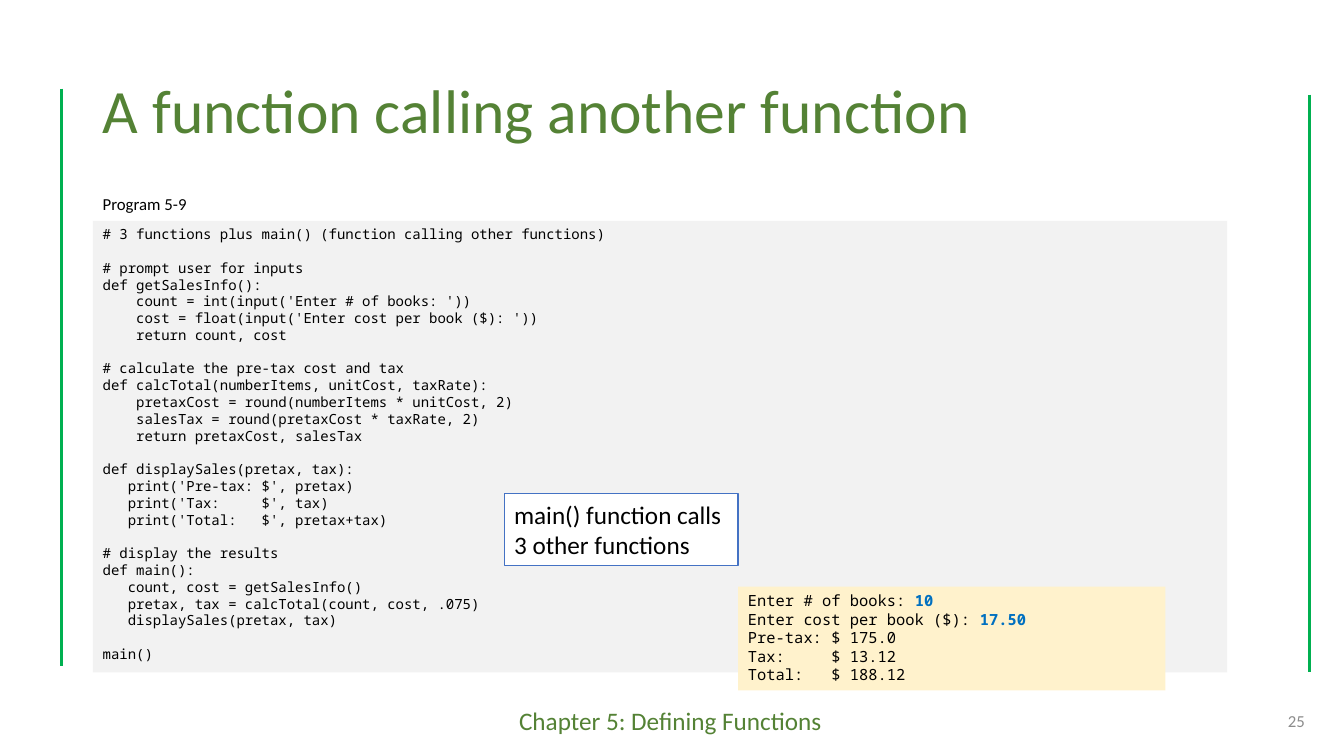
from dataclasses import dataclass

from lxml import etree
from pptx import Presentation
from pptx.dml.color import RGBColor
from pptx.enum.shapes import MSO_CONNECTOR, MSO_SHAPE
from pptx.enum.text import MSO_ANCHOR, MSO_AUTO_SIZE, PP_ALIGN
from pptx.oxml.ns import qn
from pptx.util import Emu, Pt

STRAIGHT = MSO_CONNECTOR.STRAIGHT
RECTANGLE = MSO_SHAPE.RECTANGLE
TOP, MIDDLE = MSO_ANCHOR.TOP, MSO_ANCHOR.MIDDLE
LEFT, RIGHT = PP_ALIGN.LEFT, PP_ALIGN.RIGHT
NO_AUTOFIT = MSO_AUTO_SIZE.NONE


@dataclass(frozen=True)
class Theme:
    sans: str = "Calibri"
    mono: str = "Noto Sans Mono"
    heading: str = "548235"
    rule: str = "00B050"
    ink: str = "000000"
    muted: str = "8C8C8C"
    code_fill: str = "F2F2F2"
    output_fill: str = "FFF2CC"
    typed: str = "0070C0"
    callout_fill: str = "FFFFFF"
    callout_line: str = "4472C4"
    title_size: int = 44
    body_size: int = 18
    small_size: int = 12
    output_size: int = 11
    code_size: int = 10
    rule_width: float = 2.25
    callout_width: float = 0.75


THEME = Theme()
EMU_PER_PX = 9144  # 100 px to the inch

# Each block is set off from the one before by one line of space
CODE_BLOCKS = [
    ["# 3 functions plus main() (function calling other functions)"],
    ["# prompt user for inputs",
     "def getSalesInfo():",
     "    count = int(input('Enter # of books: '))",
     "    cost = float(input('Enter cost per book ($): '))",
     "    return count, cost"],
    ["# calculate the pre-tax cost and tax",
     "def calcTotal(numberItems, unitCost, taxRate):",
     "    pretaxCost = round(numberItems * unitCost, 2)",
     "    salesTax = round(pretaxCost * taxRate, 2)",
     "    return pretaxCost, salesTax"],
    ["def displaySales(pretax, tax):",
     "   print('Pre-tax: $', pretax)",
     "   print('Tax:     $', tax)",
     "   print('Total:   $', pretax+tax)"],
    ["# display the results",
     "def main():",
     "   count, cost = getSalesInfo()",
     "   pretax, tax = calcTotal(count, cost, .075)",
     "   displaySales(pretax, tax)"],
    ["main()"],
]

# Prompt or result, followed by what the user typed
OUTPUT_LINES = [
    ("Enter # of books: ", "10"),
    ("Enter cost per book ($): ", "17.50"),
    ("Pre-tax: $ 175.0", ""),
    ("Tax:     $ 13.12", ""),
    ("Total:   $ 188.12", ""),
]


def px(length):
    return Emu(length * EMU_PER_PX)


def rgb(color):
    return RGBColor.from_string(color)


def write(paragraph, text, *, size, color=THEME.ink, font=THEME.sans, bold=False,
          align=LEFT, line_spacing=None, space_before=0):
    """Append one formatted run to a paragraph."""
    paragraph.alignment = align
    paragraph.line_spacing = line_spacing
    paragraph.space_before = Pt(space_before)
    run = paragraph.add_run()
    run.text = text
    run.font.name = font
    run.font.size = Pt(size)
    run.font.bold = bold
    run.font.color.rgb = rgb(color)


def prepare(frame, anchor=TOP):
    frame.word_wrap = True
    frame.auto_size = NO_AUTOFIT
    frame.vertical_anchor = anchor
    return frame


def next_paragraph(frame, index):
    return frame.add_paragraph() if index else frame.paragraphs[0]


def add_label(slide, box, text, anchor=TOP, **style):
    frame = prepare(slide.shapes.add_textbox(*map(px, box)).text_frame, anchor)
    write(frame.paragraphs[0], text, **style)


def add_panel(slide, box, fill, line=None):
    """Add a filled rectangle and return its text frame."""
    panel = slide.shapes.add_shape(RECTANGLE, *map(px, box))
    panel.shadow.inherit = False
    panel.fill.solid()
    panel.fill.fore_color.rgb = rgb(fill)
    if line:
        panel.line.color.rgb = rgb(line)
        panel.line.width = Pt(THEME.callout_width)
    else:
        panel.line.fill.background()
    return prepare(panel.text_frame)


def add_title(slide, box, text):
    title = slide.shapes.title
    title.left, title.top, title.width, title.height = map(px, box)
    frame = prepare(title.text_frame, MIDDLE)
    write(frame.paragraphs[0], text, size=THEME.title_size,
          color=THEME.heading, line_spacing=0.9)


def add_side_rules(slide, box):
    """Draw the two side rules; the right one hangs slightly lower."""
    left, top, width, height = box
    drop = 6
    for x, y in ((left, top), (left + width, top + drop)):
        rule = slide.shapes.add_connector(
            STRAIGHT, px(x), px(y), px(x), px(y + height))
        rule.line.color.rgb = rgb(THEME.rule)
        rule.line.width = Pt(THEME.rule_width)
        etree.SubElement(rule._element.spPr, qn("a:effectLst"))


def add_footer(slide, box, chapter, number):
    left, top, width, height = box
    number_width = 300
    add_label(slide, (left, top, 323, height), chapter,
              size=THEME.body_size, color=THEME.heading)
    add_label(slide, (left + width - number_width, top, number_width, height),
              number, anchor=MIDDLE, size=THEME.small_size,
              color=THEME.muted, align=RIGHT)


def add_program(slide, box, caption):
    """Place the caption above the code listing."""
    left, top, width, height = box
    caption_height = 32
    add_label(slide, (left, top, 203, 30), caption, size=THEME.small_size)
    frame = add_panel(slide, (left, top + caption_height, width,
                              height - caption_height), THEME.code_fill)
    pitch = 1.2 * THEME.code_size
    index = 0
    for block in CODE_BLOCKS:
        for row, code in enumerate(block):
            gap = pitch if index and row == 0 else 0
            write(next_paragraph(frame, index), code, size=THEME.code_size,
                  font=THEME.mono, line_spacing=Pt(pitch), space_before=gap)
            index += 1


def add_output(slide, box):
    frame = add_panel(slide, box, THEME.output_fill)
    style = dict(size=THEME.output_size, font=THEME.mono,
                 line_spacing=Pt(1.2 * THEME.output_size))
    for index, (shown, typed) in enumerate(OUTPUT_LINES):
        paragraph = next_paragraph(frame, index)
        write(paragraph, shown, **style)
        if typed:
            write(paragraph, typed, color=THEME.typed, bold=True, **style)


def add_callout(slide, box, text):
    frame = add_panel(slide, box, THEME.callout_fill, THEME.callout_line)
    write(frame.paragraphs[0], text, size=THEME.body_size)


def main():
    deck = Presentation()
    deck.slide_width, deck.slide_height = px(1333), px(750)
    title_only = deck.slide_layouts[5]
    slide = deck.slides.add_slide(title_only)

    add_side_rules(slide, (61, 88, 1238, 573))
    add_title(slide, (92, 40, 1150, 145), "A function calling another function")
    add_program(slide, (92, 187, 1125, 480), "Program 5-9")
    add_output(slide, (732, 582, 424, 103))
    add_callout(slide, (500, 490, 232, 71), "main() function calls 3 other functions")
    add_footer(slide, (505, 695, 799, 40), "Chapter 5: Defining Functions", "25")

    deck.save("out.pptx")


if __name__ == "__main__":
    main()
